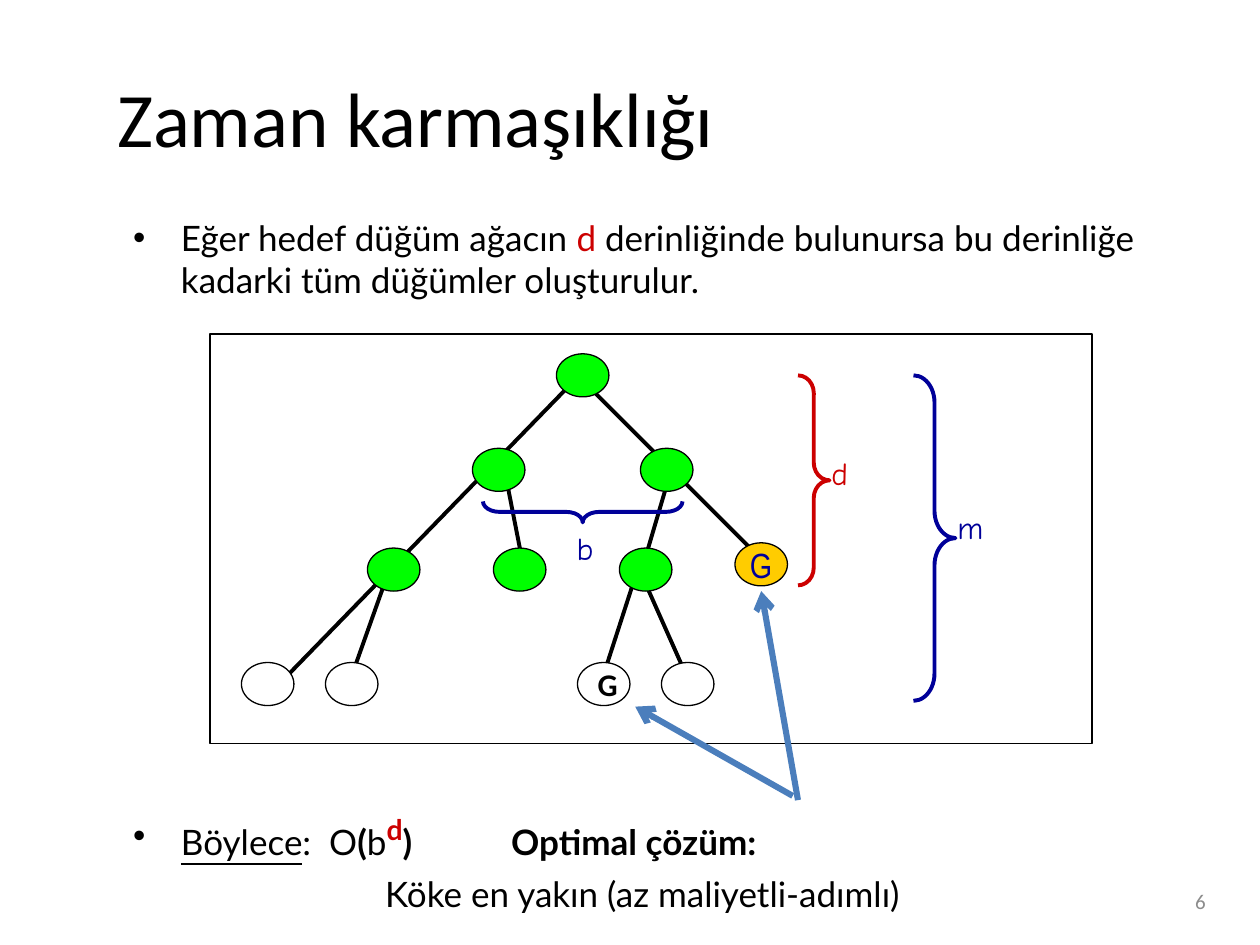
from dataclasses import dataclass

from lxml import etree
from pptx import Presentation
from pptx import util as u
from pptx.dml.color import RGBColor
from pptx.enum import shapes, text
from pptx.oxml import ns

COLORS = {
    "white": "FFFFFF", "black": "000000", "gray": "8C8C8C", "red": "CC0000",
    "navy": "000099", "green": "00FF00", "gold": "FFCC00", "blue": "4B7EBC",
}
ALIGN, ANCHOR, SHAPE = text.PP_ALIGN, text.MSO_ANCHOR, shapes.MSO_SHAPE
COLUMNS, ROWS = 120, 90  # square grid over the slide
NODE_WIDTH, NODE_HEIGHT = 5, 4.1

deck = Presentation()
deck.slide_width, deck.slide_height = u.Inches(10), u.Inches(7.5)
page = deck.slides.add_slide(deck.slide_layouts[6])


@dataclass
class Span:
    text: str
    size: float = 20
    font: str = "Lato"
    color: str = "black"
    bold: bool = False
    underline: bool = False
    raised: bool = False


@dataclass
class Node:
    column: float
    row: float
    fill: str
    label: Span | None = None
    align: ALIGN = ALIGN.LEFT


@dataclass
class Edge:
    start: tuple[float, float]
    end: tuple[float, float]


@dataclass
class Brace:
    kind: SHAPE
    place: tuple[float, float, float, float]
    color: str
    curve: float
    rotation: float
    label: str
    label_at: tuple[float, float]


def grid(column: float, row: float) -> tuple[int, int]:
    return (round(deck.slide_width * column / COLUMNS),
            round(deck.slide_height * row / ROWS))


def rgb(name: str) -> RGBColor:
    return RGBColor.from_string(COLORS[name])


def add_spans(para, spans: list[Span]) -> None:
    for span in spans:
        run = para.add_run()
        run.text = span.text
        font = run.font
        font.size, font.name, font.bold = u.Pt(span.size), span.font, span.bold
        font.underline = span.underline
        font.color.rgb = rgb(span.color)
        if span.raised:
            run._r.get_or_add_rPr().set("baseline", "30000")


def add_text(place: tuple, paragraphs: list[list[Span]], anchor=ANCHOR.TOP,
             align=ALIGN.LEFT, wrap: bool = True, before: float = 0):
    box = page.shapes.add_textbox(*grid(*place[:2]), *grid(*place[2:]))
    frame = box.text_frame
    frame.word_wrap, frame.vertical_anchor = wrap, anchor
    for index, spans in enumerate(paragraphs):
        para = frame.paragraphs[0] if index == 0 else frame.add_paragraph()
        para.alignment, para.space_before = align, u.Pt(before)
        add_spans(para, spans)
    return box


def add_bullet(para) -> None:
    props = para._p.get_or_add_pPr()
    props.set("marL", str(u.Inches(0.38)))
    props.set("indent", str(-u.Inches(0.38)))
    color = etree.SubElement(props, ns.qn("a:buClr"))
    etree.SubElement(color, ns.qn("a:srgbClr")).set("val", COLORS["black"])
    etree.SubElement(props, ns.qn("a:buFont")).set("typeface", "Arial")
    etree.SubElement(props, ns.qn("a:buChar")).set("char", "•")


def add_shape(kind: SHAPE, place: tuple, fill: str | None, line: str, width: float):
    shape = page.shapes.add_shape(kind, *grid(*place[:2]), *grid(*place[2:]))
    shape.shadow.inherit = False
    if fill:
        shape.fill.solid()
        shape.fill.fore_color.rgb = rgb(fill)
    else:
        shape.fill.background()
    shape.line.color.rgb, shape.line.width = rgb(line), u.Pt(width)
    return shape


def add_edge(edge: Edge, color: str, width: float, arrow: bool = False) -> None:
    line = page.shapes.add_connector(
        shapes.MSO_CONNECTOR.STRAIGHT, *grid(*edge.start), *grid(*edge.end))
    line.line.color.rgb, line.line.width = rgb(color), u.Pt(width)
    if arrow:
        etree.SubElement(line.line._get_or_add_ln(), ns.qn("a:tailEnd")).set("type", "arrow")
    etree.SubElement(line._element.spPr, ns.qn("a:effectLst"))


def add_node(node: Node) -> None:
    place = (node.column, node.row, NODE_WIDTH, NODE_HEIGHT)
    shape = add_shape(SHAPE.OVAL, place, node.fill, "black", 0.75)
    if node.label:
        frame = shape.text_frame
        frame.word_wrap, frame.vertical_anchor = False, ANCHOR.MIDDLE
        frame.paragraphs[0].alignment = node.align
        add_spans(frame.paragraphs[0], [node.label])


def add_brace(brace: Brace) -> None:
    shape = add_shape(brace.kind, brace.place, None, brace.color, 2.25)
    shape.adjustments[0], shape.adjustments[1] = brace.curve, 0.5
    shape.rotation = brace.rotation
    add_text((*brace.label_at, 5, 6),
             [[Span(brace.label, 18, "Comic Neue", brace.color)]], wrap=False)


# Page number, title and opening statement
add_text((88, 83.4, 28, 4.8), [[Span("6", 12, "Calibri", "gray")]],
         ANCHOR.MIDDLE, ALIGN.RIGHT)
add_text((10, 3.6, 106, 15), [[Span("Zaman karmaşıklığı", 44, "Calibri")]], ANCHOR.MIDDLE)
statement = add_text((11.5, 20, 108, 14), [[
    Span("Eğer hedef düğüm ağacın "),
    Span("d", color="red"),
    Span(" derinliğinde bulunursa bu derinliğe kadarki tüm düğümler oluşturulur."),
]], before=4)
add_bullet(statement.text_frame.paragraphs[0])

# Search tree: frame, edges, then nodes by level
add_shape(SHAPE.RECTANGLE, (20, 31.8, 84, 39), "white", "black", 0.75)
EDGES = [
    Edge((55, 35.75), (73, 53.75)), Edge((61, 54.5), (66, 65.75)),
    Edge((61, 53.4), (57, 65.75)), Edge((37, 54.5), (33, 65.75)),
    Edge((64, 44.5), (61, 54.7)), Edge((48, 44.5), (50, 54.7)),
    Edge((56, 34.9), (26, 65.75)),
]
for edge in EDGES:
    add_edge(edge, "black", 2.25)

LEVELS = [
    (33.7, "green", [53]),
    (42.7, "green", [45, 61]),
    (52.2, "green", [35, 47, 59]),
    (63.1, "white", [23, 31, 63]),
]
nodes = [Node(column, row, fill) for row, fill, columns in LEVELS for column in columns]
nodes += [
    Node(70, 51.7, "gold", Span("G", 20, "Arial Narrow", "navy"), ALIGN.CENTER),
    Node(55, 63.1, "white", Span("G", 18, "Calibri", bold=True)),
]
for node in nodes:
    add_node(node)

# Braces for depth, maximum depth and branching
BRACES = [
    Brace(SHAPE.RIGHT_BRACE, (87, 35.75, 4, 31), "navy", 0.65, 0, "m", (90, 47.75)),
    Brace(SHAPE.LEFT_BRACE, (54.5, 39.25, 2, 19), "navy", 0.79, 270, "b", (53.75, 49.8)),
    Brace(SHAPE.RIGHT_BRACE, (76, 35.75, 3, 20), "red", 0.56, 0, "d", (78, 42.7)),
]
for brace in BRACES:
    add_brace(brace)

# Conclusion and the arrows to both goals
conclusion = add_text((11.5, 76.2, 102.5, 8.8), [
    [Span("Böylece", underline=True), Span(":  O"), Span("(", bold=True), Span("b"),
     Span("d", 28, color="red", bold=True, raised=True),
     Span(")\t\tOptimal çözüm:", bold=True)],
    [Span("\t\t\t\t", bold=True), Span("Köke en yakın (az maliyetli-adımlı)")],
], before=4)
add_bullet(conclusion.text_frame.paragraphs[0])
for edge in (Edge((76, 76.2), (72.5, 56.3)), Edge((75.5, 75.8), (60.5, 67.3))):
    add_edge(edge, "blue", 3.5, arrow=True)

deck.save("out.pptx")
